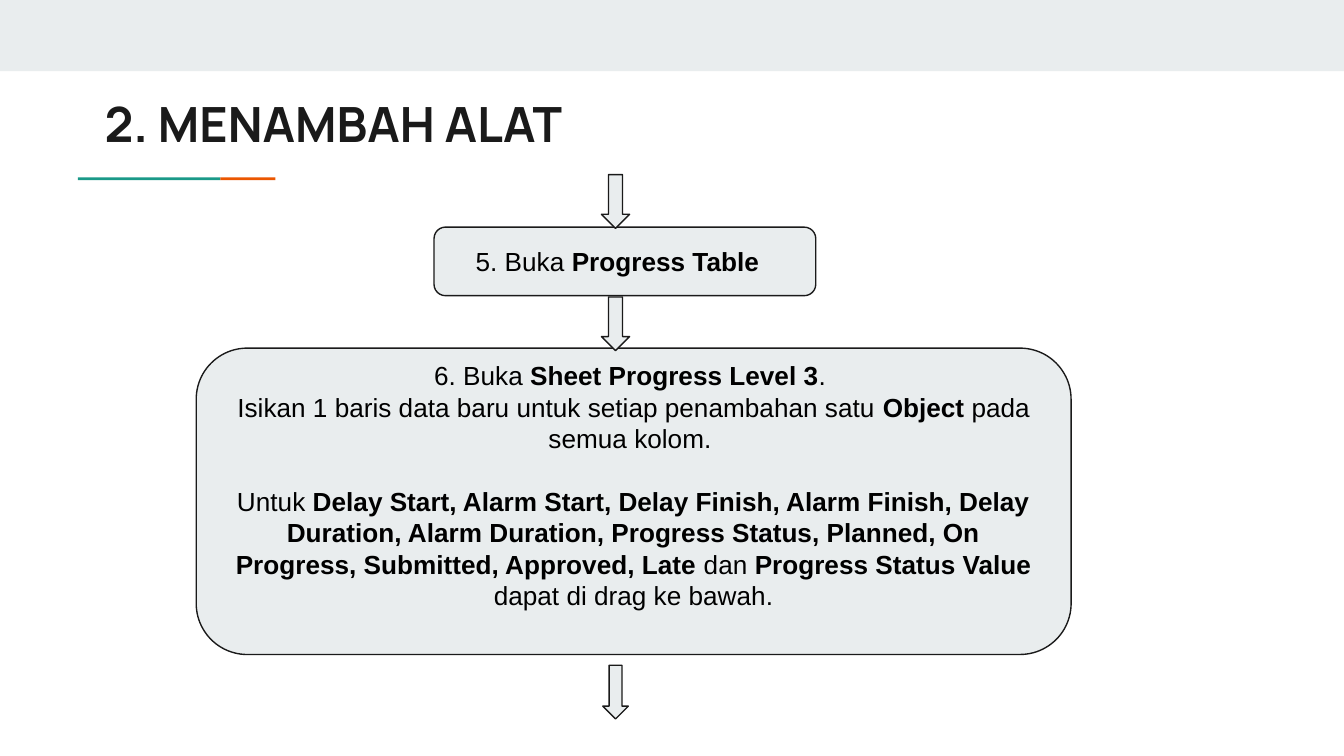
import pptx
import pptx.dml.color
import pptx.enum.shapes
import pptx.enum.text
import pptx.util

Inches = pptx.util.Inches
Pt = pptx.util.Pt
SHAPES = pptx.enum.shapes.MSO_SHAPE
ANCHOR = pptx.enum.text.MSO_ANCHOR
ALIGN = pptx.enum.text.PP_ALIGN

COLORS = {
    "panel": "E9EDEE",
    "ink": "1A1A1A",
    "text": "000000",
    "teal": "1A9988",
    "orange": "EB5600",
}

SLIDE_WIDTH = 10
SLIDE_HEIGHT = SLIDE_WIDTH * 9 / 16

TITLE = "2. MENAMBAH ALAT"
BARS = [
    ((0, 0, SLIDE_WIDTH, 0.53), "panel"),
    ((0.58, 1.32, 1.06, 0.02), "teal"),
    ((1.64, 1.32, 0.41, 0.02), "orange"),
]
STEPS = [
    {
        "box": (3.23, 1.69, 2.84, 0.51),
        "insets": (0.1, 0.1, 0.21, 0.1),
        "paragraphs": [(0, [("5. Buka ", False), ("Progress Table", True)])],
    },
    {
        "box": (1.46, 2.59, 6.51, 2.28),
        "insets": (0.1, 0, 0.1, 0.24),
        "paragraphs": [
            (0, [("6. Buka ", False), ("Sheet Progress Level 3", True), (". ", False)]),
            (0, [
                ("Isikan 1 baris data baru untuk setiap penambahan satu ", False),
                ("Object", True),
                (" pada semua kolom. ", False),
            ]),
            (1, [
                ("Untuk ", False),
                ("Delay Start, Alarm Start, Delay Finish, Alarm Finish, "
                 "Delay Duration, Alarm Duration, Progress Status, Planned, "
                 "On Progress, Submitted, Approved, Late ", True),
                ("dan ", False),
                ("Progress Status Value", True),
                (" dapat di drag ke bawah.", False),
            ]),
        ],
    },
]
ARROW_CENTER = 4.58
ARROW_HEIGHT = 0.4
ARROWS = [(1.3, 0.21), (2.21, 0.21), (4.95, 0.19)]

LINE_PITCH = 16.8
TITLE_FONT = {"name": "Manrope", "size": Pt(26), "bold": True}
STEP_FONT = {"name": "Arial", "size": Pt(14)}


def color(name):
    return pptx.dml.color.RGBColor.from_string(COLORS[name])


def set_attributes(target, values):
    for name, value in values.items():
        setattr(target, name, value)


def add_shape(slide, kind, box, fill, outlined=False):
    shape = slide.shapes.add_shape(kind, *map(Inches, box))
    shape.shadow.inherit = False
    shape.fill.solid()
    shape.fill.fore_color.rgb = color(fill)
    if outlined:
        shape.line.color.rgb = color("ink")
        shape.line.width = Pt(0.75)
    else:
        shape.line.fill.background()
    return shape


def format_frame(frame, insets, anchor):
    sides = ("margin_left", "margin_top", "margin_right", "margin_bottom")
    set_attributes(frame, dict(zip(sides, map(Inches, insets))))
    set_attributes(frame, {"word_wrap": True, "vertical_anchor": anchor})


def add_run(paragraph, text, font, color_name):
    run = paragraph.add_run()
    run.text = text
    set_attributes(run.font, font)
    run.font.color.rgb = color(color_name)


def add_title(slide):
    box = slide.shapes.add_textbox(*map(Inches, (0.68, 0.6, 8.41, 0.59)))
    format_frame(box.text_frame, (0.1,) * 4, ANCHOR.TOP)
    add_run(box.text_frame.paragraphs[0], TITLE, TITLE_FONT, "ink")


def add_step(slide, step):
    shape = add_shape(slide, SHAPES.ROUNDED_RECTANGLE, step["box"], "panel", True)
    frame = shape.text_frame
    format_frame(frame, step["insets"], ANCHOR.MIDDLE)
    for index, (lines_before, runs) in enumerate(step["paragraphs"]):
        paragraph = frame.add_paragraph() if index else frame.paragraphs[0]
        set_attributes(paragraph, {
            "alignment": ALIGN.CENTER,
            "line_spacing": Pt(LINE_PITCH),
            "space_before": Pt(lines_before * LINE_PITCH),
        })
        for text, bold in runs:
            add_run(paragraph, text, {**STEP_FONT, "bold": bold}, "text")


def main():
    presentation = pptx.Presentation()
    presentation.slide_width = Inches(SLIDE_WIDTH)
    presentation.slide_height = Inches(SLIDE_HEIGHT)
    slide = presentation.slides.add_slide(presentation.slide_layouts[6])
    for box, fill in BARS:
        add_shape(slide, SHAPES.RECTANGLE, box, fill)
    add_title(slide)
    for step in STEPS:
        add_step(slide, step)
    for top, width in ARROWS:
        box = (ARROW_CENTER - width / 2, top, width, ARROW_HEIGHT)
        add_shape(slide, SHAPES.DOWN_ARROW, box, "panel", True)
    presentation.save("out.pptx")


if __name__ == "__main__":
    main()
